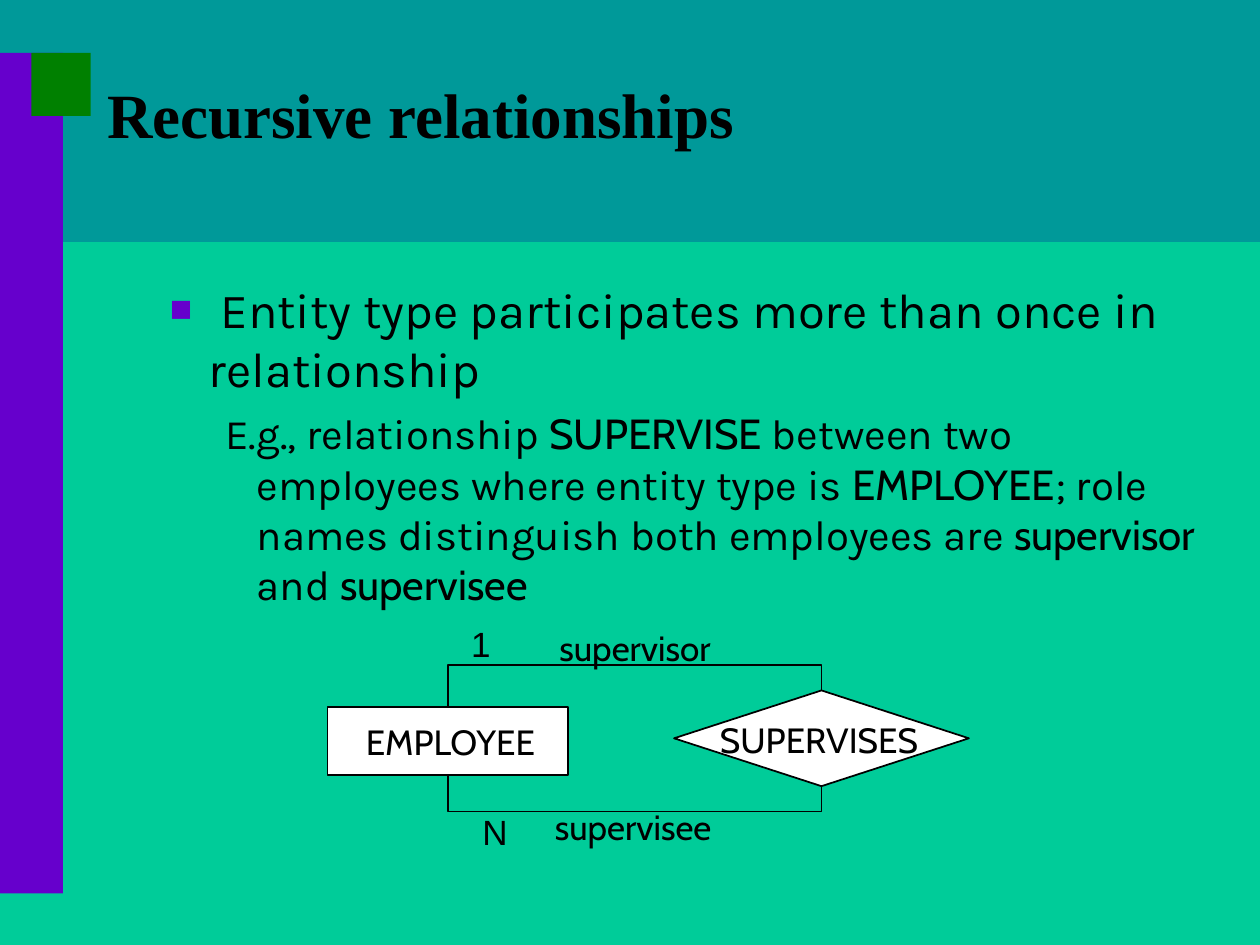
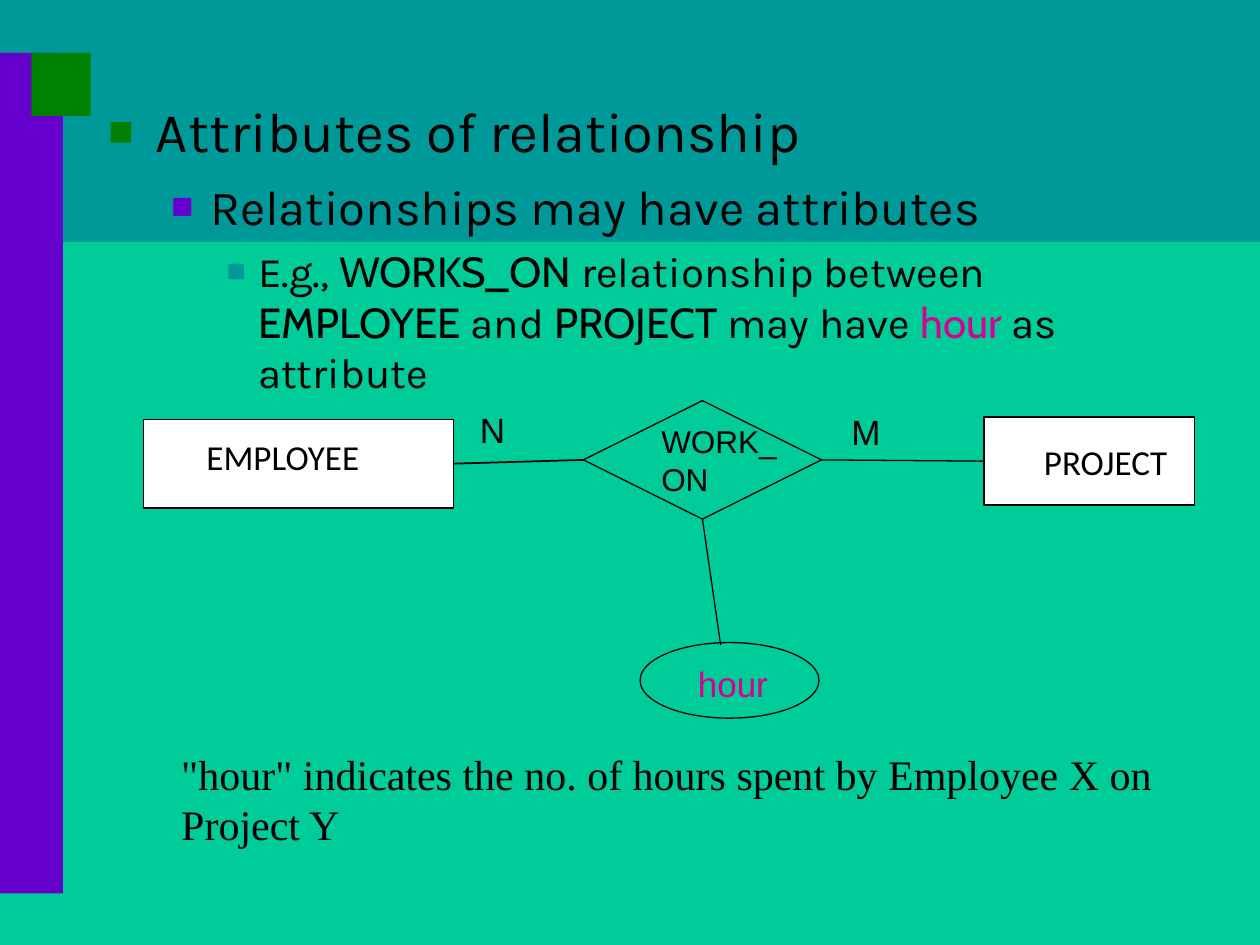
from lxml.etree import SubElement
from pptx import Presentation
from pptx.dml.color import RGBColor
from pptx.enum.shapes import MSO_CONNECTOR, MSO_SHAPE
from pptx.enum.text import MSO_ANCHOR, MSO_AUTO_SIZE, PP_ALIGN
from pptx.oxml.ns import qn
from pptx.util import Inches, Pt

SLIDE_W, SLIDE_H = Inches(10), Inches(7.5)
COL, ROW = SLIDE_W / 10, SLIDE_H / 7.5
TITLE_ONLY, BLANK = 5, 6

GREEN = RGBColor(0x00, 0xCC, 0x99)
TEAL = RGBColor(0x00, 0x99, 0x99)
PURPLE = RGBColor(0x66, 0x00, 0xCC)
DARK_GREEN = RGBColor(0x00, 0x80, 0x00)
MAGENTA = RGBColor(0xD6, 0x00, 0x93)
BLACK = RGBColor(0x00, 0x00, 0x00)
WHITE = RGBColor(0xFF, 0xFF, 0xFF)

SANS, SERIF, BODY, ENTITY, PLAIN = "Arial", "Times New Roman", "Karla", "Cabin", "Calibri"

LEVELS = [
    dict(size=32, left=0.38, hang=0.38, before=8, bullet=DARK_GREEN),
    dict(size=28, left=0.81, hang=0.31, before=7, bullet=PURPLE),
    dict(size=24, left=1.19, hang=0.25, before=6, bullet=TEAL),
]


def grid(x, y, w, h):
    return round(x * COL), round(y * ROW), round(w * COL), round(h * ROW)


def write(p, text, font=SANS, size=20, color=BLACK, bold=False):
    for i, line in enumerate(text.split("\n")):
        if i:
            p.add_line_break()
        r = p.add_run()
        r.text = line
        r.font.name = font
        r.font.size = Pt(size)
        r.font.color.rgb = color
        r.font.bold = bold


def add_label(s, box, *lines, inset=True, **fmt):
    tf = s.shapes.add_textbox(*grid(*box)).text_frame
    tf.word_wrap = inset
    tf.auto_size = MSO_AUTO_SIZE.SHAPE_TO_FIT_TEXT
    if not inset:
        tf.margin_left = tf.margin_right = tf.margin_top = tf.margin_bottom = 0
    for i, line in enumerate(lines):
        p = tf.add_paragraph() if i else tf.paragraphs[0]
        p.alignment = PP_ALIGN.LEFT if inset else PP_ALIGN.CENTER
        write(p, line, **fmt)


def add_bullet(p, color):
    pPr = p._p.get_or_add_pPr()
    SubElement(SubElement(pPr, qn("a:buClr")), qn("a:srgbClr"), val=str(color))
    SubElement(pPr, qn("a:buSzPct"), val="76000")
    SubElement(pPr, qn("a:buFont"), typeface=SANS)
    SubElement(pPr, qn("a:buChar"), char="■")


def add_body(s, box, items):
    tf = s.shapes.add_textbox(*grid(*box)).text_frame
    tf.word_wrap = True
    for i, (level, bulleted, runs) in enumerate(items):
        style = LEVELS[level]
        p = tf.add_paragraph() if i else tf.paragraphs[0]
        p.level = level
        pPr = p._p.get_or_add_pPr()
        pPr.set("marL", str(Inches(style["left"])))
        pPr.set("indent", str(-Inches(style["hang"])))
        if i:
            p.space_before = Pt(style["before"])
        if bulleted:
            add_bullet(p, style["bullet"])
        for text, font, color in runs:
            write(p, text, font=font, size=style["size"], color=color)


def add_figure(s, kind, box, fill=None, line=1):
    sp = s.shapes.add_shape(kind, *grid(*box))
    sp.shadow.inherit = False
    if fill is None:
        sp.fill.background()
    else:
        sp.fill.solid()
        sp.fill.fore_color.rgb = fill
    if line:
        sp.line.color.rgb = BLACK
        sp.line.width = Pt(line)
    else:
        sp.line.fill.background()
    return sp


def add_line(s, kind, start, end=None, point=(0, 0), width=1):
    x, y = round(point[0] * COL), round(point[1] * ROW)
    cxn = s.shapes.add_connector(kind, 0, 0, x, y)
    cxn.begin_connect(*start)
    if end:
        cxn.end_connect(*end)
    cxn.line.color.rgb = BLACK
    cxn.line.width = Pt(width)
    SubElement(cxn.element.spPr, qn("a:effectLst"))
    return cxn


def add_loop(s, start, end, site, depth):
    cxn = add_line(s, MSO_CONNECTOR.ELBOW, (start, site), (end, site))
    span, rise = cxn.width, cxn.height
    mid_x, mid_y = cxn.left + span / 2, cxn.top + rise / 2
    cxn.left, cxn.top = round(mid_x - rise / 2), round(mid_y - span / 2)
    cxn.width, cxn.height = rise, span
    upward = site == 0
    xfrm = cxn.element.spPr.find(qn("a:xfrm"))
    xfrm.set("rot", str((90 if upward else 270) * 60000))
    xfrm.set("flipH", "1")
    xfrm.set("flipV", "1" if upward else "0")
    guides = cxn.element.spPr.find(qn("a:prstGeom")).find(qn("a:avLst"))
    share = round(depth * ROW / rise * 100000)
    SubElement(guides, qn("a:gd"), name="adj1", fmla=f"val {share}")


def add_bands(prs, s):
    master = prs.slide_master
    master.background.fill.solid()
    master.background.fill.fore_color.rgb = GREEN
    bands = [((0, 0, 10, 1.92), TEAL),
             ((0, 0.42, 0.5, 6.67), PURPLE),
             ((0.25, 0.42, 0.47, 0.5), DARK_GREEN)]
    for i, (box, color) in enumerate(bands):
        sp = add_figure(s, MSO_SHAPE.RECTANGLE, box, color, line=0)
        sp.element.nvSpPr.cNvPr.set("id", str(100 + i))
        master.shapes.element.insert(2 + i, sp.element)


def set_title(s, box, text):
    title = s.shapes.title
    title.left, title.top, title.width, title.height = grid(*box)
    tf = title.text_frame
    tf.auto_size = MSO_AUTO_SIZE.NONE
    tf.vertical_anchor = MSO_ANCHOR.TOP
    p = tf.paragraphs[0]
    p.alignment = PP_ALIGN.LEFT
    write(p, text, font=SERIF, size=36, bold=True)


def build_recursive(s):
    set_title(s, (0.75, 0.55, 7.89, 0.7), "Recursive relationships")
    add_body(s, (0.75, 2.17, 9.06, 4.5), [
        (1, True, [(" Entity type participates more than once in relationship", BODY, BLACK)]),
        (2, False, [
            ("E.g., relationship ", BODY, BLACK),
            ("SUPERVISE", ENTITY, BLACK),
            (" between two employees where entity type is ", BODY, BLACK),
            ("EMPLOYEE", ENTITY, BLACK),
            ("; role names distinguish both employees are ", BODY, BLACK),
            ("supervisor", ENTITY, BLACK),
            (" and ", BODY, BLACK),
            ("supervisee", ENTITY, BLACK),
        ]),
    ])
    employee = add_figure(s, MSO_SHAPE.RECTANGLE, (2.6, 5.61, 1.91, 0.54), WHITE)
    supervises = add_figure(s, MSO_SHAPE.DIAMOND, (5.35, 5.48, 2.34, 0.76), WHITE)
    add_loop(s, employee, supervises, 0, 0.33)
    add_loop(s, employee, supervises, 2, 0.29)
    for text, box in [("EMPLOYEE", (2.87, 5.72, 1.41, 0.33)),
                      ("SUPERVISES", (5.71, 5.7, 1.58, 0.33)),
                      ("supervisor", (4.35, 4.97, 1.38, 0.33)),
                      ("supervisee", (4.32, 6.39, 1.41, 0.33))]:
        add_label(s, box, text, inset=False, font=ENTITY)
    add_label(s, (3.64, 4.89, 0.5, 0.44), "1")
    add_label(s, (3.73, 6.38, 0.5, 0.44), "N")


def build_attributes(s):
    add_body(s, (0.76, 0.72, 8.5, 4.5), [
        (0, True, [("Attributes of relationship", BODY, BLACK)]),
        (1, True, [("Relationships may have attributes", BODY, BLACK)]),
        (2, True, [
            ("E.g., ", BODY, BLACK),
            ("WORKS_ON", ENTITY, BLACK),
            (" relationship between ", BODY, BLACK),
            ("EMPLOYEE", ENTITY, BLACK),
            (" and ", BODY, BLACK),
            ("PROJECT", ENTITY, BLACK),
            (" may have ", BODY, BLACK),
            ("hour", ENTITY, MAGENTA),
            (" as attribute", BODY, BLACK),
        ]),
    ])
    employee = add_figure(s, MSO_SHAPE.RECTANGLE, (1.14, 3.33, 2.46, 0.7), WHITE)
    project = add_figure(s, MSO_SHAPE.RECTANGLE, (7.81, 3.31, 1.67, 0.7), WHITE)
    works_on = add_figure(s, MSO_SHAPE.DIAMOND, (4.63, 3.18, 1.89, 0.94), line=0.75)
    add_figure(s, MSO_SHAPE.OVAL, (5.08, 5.1, 1.42, 0.6), line=0.75)
    add_line(s, MSO_CONNECTOR.STRAIGHT, (works_on, 1), (employee, 3))
    add_line(s, MSO_CONNECTOR.STRAIGHT, (works_on, 3), (project, 1), width=0.75)
    add_line(s, MSO_CONNECTOR.STRAIGHT, (works_on, 2), point=(5.72, 5.12), width=0.75)
    add_label(s, (1.54, 3.46, 1.41, 0.33), "EMPLOYEE", inset=False, font=PLAIN)
    add_label(s, (7.97, 3.5, 1.61, 0.33), "PROJECT", inset=False, font=PLAIN)
    add_label(s, (5.15, 3.3, 1.3, 0.7), "WORK_\nON", size=18)
    add_label(s, (3.71, 3.19, 0.5, 0.44), "N")
    add_label(s, (6.66, 3.21, 0.5, 0.44), "M")
    add_label(s, (5.44, 5.21, 0.9, 0.44), "hour", color=MAGENTA)
    add_label(s, (1.34, 5.89, 8.1, 0.9),
              "\"hour\" indicates the no. of hours spent by Employee X on",
              "Project Y", font=SERIF, size=24)


def main():
    prs = Presentation()
    prs.slide_width, prs.slide_height = SLIDE_W, SLIDE_H
    recursive = prs.slides.add_slide(prs.slide_layouts[TITLE_ONLY])
    add_bands(prs, recursive)
    build_recursive(recursive)
    build_attributes(prs.slides.add_slide(prs.slide_layouts[BLANK]))
    prs.save("out.pptx")


if __name__ == "__main__":
    main()
